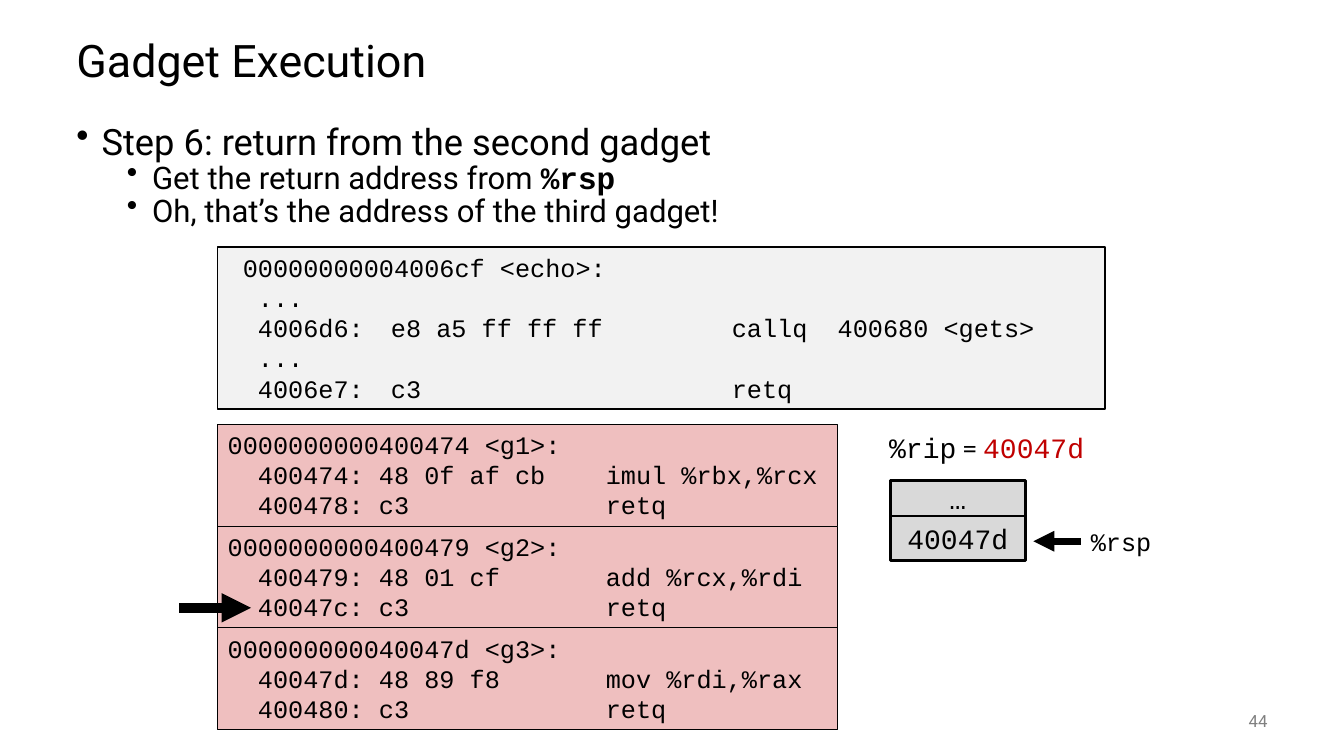
from lxml.etree import SubElement
from pptx import Presentation
from pptx.dml.color import RGBColor
from pptx.enum.shapes import MSO_CONNECTOR, MSO_SHAPE
from pptx.enum.text import MSO_ANCHOR, PP_ALIGN
from pptx.oxml.ns import qn
from pptx.util import Emu, Pt

SANS, MONO = "Roboto", "Courier New"
BLACK = "000000"

GADGETS = [
    ["0000000000400474 <g1>:",
     "  400474: 48 0f af cb    imul %rbx,%rcx",
     "  400478: c3             retq"],
    ["0000000000400479 <g2>:",
     "  400479: 48 01 cf       add %rcx,%rdi",
     "  40047c: c3             retq"],
    ["000000000040047d <g3>:",
     "  40047d: 48 89 f8       mov %rdi,%rax",
     "  400480: c3             retq"],
]
ECHO = [
    " 00000000004006cf <echo>:",
    "  ...",
    "  4006d6:\te8 a5 ff ff ff\tcallq  400680 <gets>",
    "  ...",
    "  4006e7:\tc3\tretq",
]


def px(n):
    return Emu(n * 9144)


def rgb(color):
    return RGBColor.from_string(color)


def add_run(p, text, size, font=MONO, color=BLACK, bold=False):
    r = p.add_run()
    r.text = text
    r.font.size = Pt(size)
    r.font.name = font
    r.font.bold = bold
    r.font.color.rgb = rgb(color)


def add_text(s, x, y, w, h, anchor=MSO_ANCHOR.TOP, wrap=True):
    tf = s.shapes.add_textbox(px(x), px(y), px(w), px(h)).text_frame
    tf.word_wrap = wrap
    tf.vertical_anchor = anchor
    return tf


def add_box(s, x, y, w, h, fill, line, anchor=MSO_ANCHOR.TOP):
    sp = s.shapes.add_shape(MSO_SHAPE.RECTANGLE, px(x), px(y), px(w), px(h))
    sp.shadow.inherit = False
    sp.fill.solid()
    sp.fill.fore_color.rgb = rgb(fill)
    sp.line.color.rgb = rgb(BLACK)
    sp.line.width = Pt(line)
    sp.text_frame.vertical_anchor = anchor
    return sp.text_frame


def add_arrow(s, x1, x2, y, width):
    c = s.shapes.add_connector(MSO_CONNECTOR.STRAIGHT, px(x1), px(y), px(x2), px(y))
    c.line.color.rgb = rgb(BLACK)
    c.line.width = Pt(width)
    SubElement(c.line._get_or_add_ln(), qn("a:tailEnd"), type="triangle")
    SubElement(c._element.spPr, qn("a:effectLst"))


def add_code(tf, lines, tabs=()):
    for i, line in enumerate(lines):
        p = tf.add_paragraph() if i else tf.paragraphs[0]
        p.alignment = PP_ALIGN.LEFT
        if tabs:
            tab_list = SubElement(p._p.get_or_add_pPr(), qn("a:tabLst"))
            for tab in tabs:
                SubElement(tab_list, qn("a:tab"), pos=str(px(tab)), algn="l")
        add_run(p, line, 18)


def add_title(s, x, y, w, h):
    p = add_text(s, x, y, w, h, MSO_ANCHOR.MIDDLE).paragraphs[0]
    p.line_spacing = 0.9
    add_run(p, "Gadget Execution", 32, SANS)


def add_steps(s, x, y, w, h):
    tf = add_text(s, x, y, w, h)
    steps = [
        (0, 25.9, [("Step 6: return from the second gadget", SANS)]),
        (1, 22.2, [("Get the return address from ", SANS), ("%rsp", MONO)]),
        (1, 22.2, [("Oh, that’s the address of the third gadget!", SANS)]),
    ]
    for i, (level, size, runs) in enumerate(steps):
        p = tf.add_paragraph() if i else tf.paragraphs[0]
        p.level = level
        pPr = p._p.get_or_add_pPr()
        pPr.set("marL", str(px(25 + 50 * level)))
        pPr.set("indent", str(px(-25)))
        SubElement(pPr, qn("a:buChar"), char="•")
        p.line_spacing = 0.7
        if i:
            p.space_before = Pt(5)
        for text, font in runs:
            add_run(p, text, size, font, bold=font == MONO)


def add_echo(s, x, y, w, h):
    add_code(add_box(s, x, y, w, h, "F2F2F2", 1), ECHO, (162, 500))


def add_gadgets(s, x, y, w, h, current):
    row = h // len(GADGETS)
    for i, lines in enumerate(GADGETS):
        add_code(add_box(s, x, y + i * row, w, row, "EFBFBF", 0.75), lines)
    add_arrow(s, x - 38, x + 33, y + current * row + 81, 7)


def add_registers(s, x, y, w, h):
    p = add_text(s, x, y, 215, 44, wrap=False).paragraphs[0]
    add_run(p, "%rip", 20)
    add_run(p, " = ", 20, "Calibri")
    add_run(p, "40047d", 20, color="C00000")

    left, cell_w, top_h = x + 11, 134, 35
    bottom = y + h - 44
    for text, top, cell_h in [("…", bottom - top_h, top_h), ("40047d", bottom, 44)]:
        tf = add_box(s, left, top, cell_w, cell_h, "D9D9D9", 2, MSO_ANCHOR.MIDDLE)
        p = tf.paragraphs[0]
        p.alignment = PP_ALIGN.CENTER
        add_run(p, text, 20)

    label = x + w - 102
    add_code(add_text(s, label, bottom + 5, 102, 40), ["%rsp"])
    add_arrow(s, label, left + cell_w + 8, bottom + 25, 5)


def add_page_number(s, x, y, w, h):
    p = add_text(s, x, y, w, h, MSO_ANCHOR.MIDDLE).paragraphs[0]
    p.alignment = PP_ALIGN.RIGHT
    add_run(p, "44", 12, SANS, "808080")


def main():
    prs = Presentation()
    prs.slide_width, prs.slide_height = px(1333), px(750)
    s = prs.slides.add_slide(prs.slide_layouts[6])
    add_title(s, 66, 25, 1200, 75)
    add_steps(s, 66, 125, 1200, 108)
    add_echo(s, 216, 245, 880, 161)
    add_gadgets(s, 216, 421, 615, 303, 1)
    add_registers(s, 872, 422, 302, 134)
    add_page_number(s, 1167, 695, 100, 40)
    prs.save("out.pptx")


if __name__ == "__main__":
    main()
